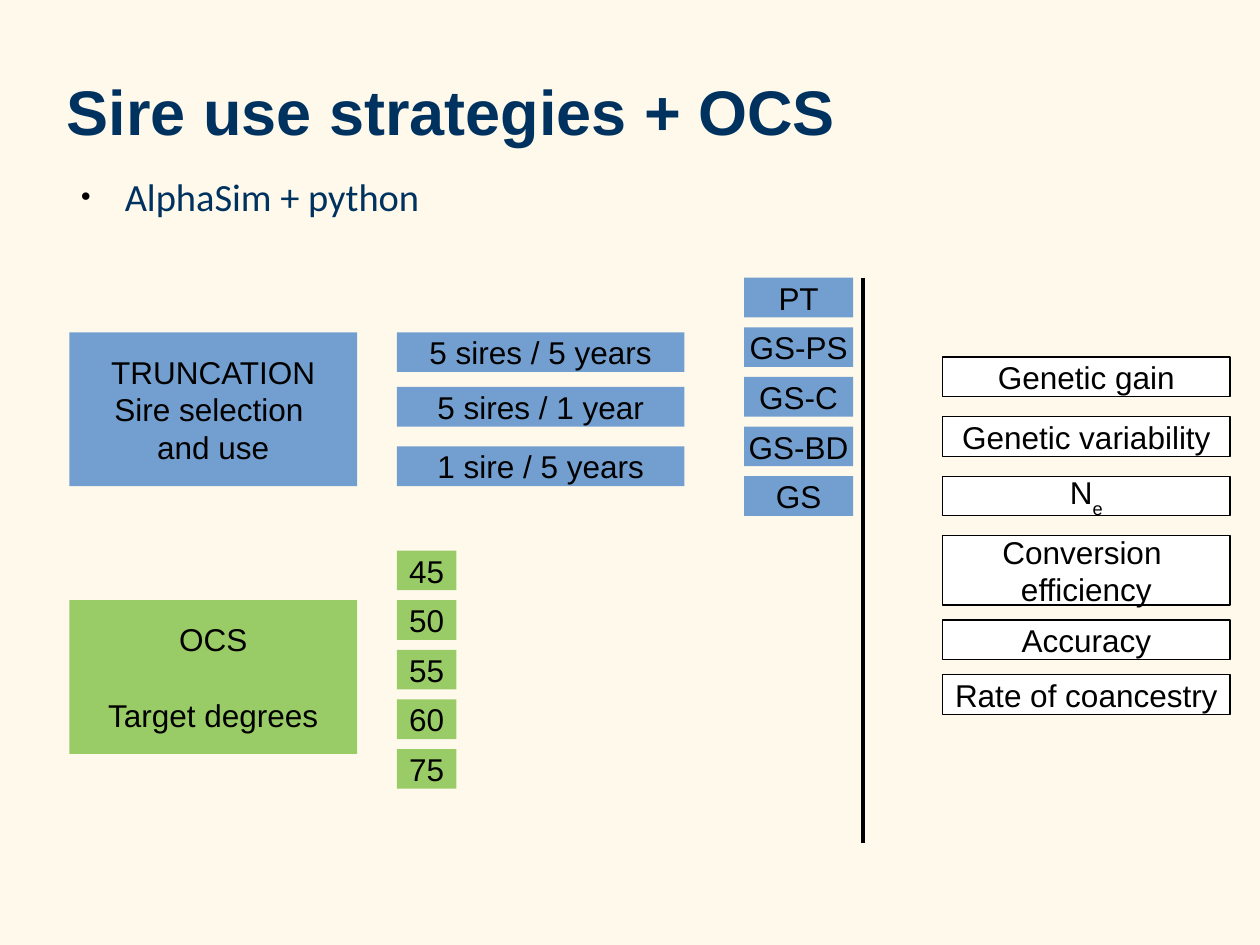
from dataclasses import dataclass
from typing import Optional

from lxml.etree import SubElement
from pptx import Presentation
from pptx.dml.color import RGBColor
from pptx.enum.shapes import MSO_CONNECTOR, MSO_SHAPE
from pptx.enum.text import MSO_ANCHOR, MSO_AUTO_SIZE, PP_ALIGN
from pptx.oxml.ns import qn
from pptx.util import Cm, Inches, Pt


@dataclass(frozen=True)
class Theme:
    background: str = "FFF9EB"
    heading: str = "00325F"
    ink: str = "000000"
    truncation: str = "729FCF"
    ocs: str = "99CC66"
    outcome: str = "FFFFFF"
    font: str = "Arial"
    body_font: str = "Calibri"
    title_size: float = 36
    body_size: float = 22
    label_size: float = 18
    skipped_line: float = 21.7


@dataclass(frozen=True)
class Label:
    """A filled box; columns and rows count the cells of a 1 cm grid."""
    text: str
    column: float
    row: float
    columns: float
    fill: str
    rows: float = 0.8
    outlined: bool = False
    subscript: str = ""
    gap_before_last: float = 0


THEME = Theme()
WIDE = 5.8
LEFT, OPTIONS, SCHEMES, DIVIDER, OUTCOMES = 1.4, 8, 15, 17.4, 19
TOP, BOTTOM = 5.6, 17


def colour(value: str) -> RGBColor:
    return RGBColor.from_string(value)


def style_text(frame, font: str, size: float, ink: str, bold: bool = False,
               align: Optional[PP_ALIGN] = None) -> None:
    for para in frame.paragraphs:
        para.alignment = align
        for span in para.runs:
            span.font.name = font
            span.font.size = Pt(size)
            span.font.bold = bold
            span.font.color.rgb = colour(ink)


def place(shape, left: float, top: float, width: float, height: float) -> None:
    shape.left, shape.top = Inches(left), Inches(top)
    shape.width, shape.height = Inches(width), Inches(height)


def add_bullet(para, hanging: float, indent: float) -> None:
    properties = para._p.get_or_add_pPr()
    properties.set("marL", str(Inches(indent)))
    properties.set("indent", str(-Inches(hanging)))
    bullet_colour = SubElement(properties, qn("a:buClr"))
    SubElement(bullet_colour, qn("a:srgbClr"), val=THEME.ink)
    SubElement(properties, qn("a:buSzPct"), val="45000")
    SubElement(properties, qn("a:buFont"), typeface=THEME.font)
    SubElement(properties, qn("a:buChar"), char="●")


def add_label(page, label: Label) -> None:
    box = page.shapes.add_shape(
        MSO_SHAPE.RECTANGLE, Cm(label.column), Cm(label.row),
        Cm(label.columns), Cm(label.rows))
    box.shadow.inherit = False
    box.fill.solid()
    box.fill.fore_color.rgb = colour(label.fill)
    if label.outlined:
        box.line.color.rgb = colour(THEME.ink)
        box.line.width = Pt(0)
    else:
        box.line.fill.background()
    frame = box.text_frame
    frame.word_wrap = False
    frame.vertical_anchor = MSO_ANCHOR.MIDDLE
    frame.text = label.text
    last = frame.paragraphs[-1]
    if label.gap_before_last:
        last.space_before = Pt(label.gap_before_last)
    if label.subscript:
        span = last.add_run()
        span.text = label.subscript
        span._r.get_or_add_rPr().set("baseline", "-33000")
    style_text(frame, THEME.font, THEME.label_size, THEME.ink,
               align=PP_ALIGN.CENTER)


def add_divider(page) -> None:
    line = page.shapes.add_connector(
        MSO_CONNECTOR.STRAIGHT, Cm(DIVIDER), Cm(TOP), Cm(DIVIDER), Cm(BOTTOM))
    line.line.color.rgb = colour(THEME.ink)
    line.line.width = Pt(2.3)
    SubElement(line._element.spPr, qn("a:effectLst"))


def add_headings(page) -> None:
    title, body = page.placeholders
    place(title, 0.43, 0.52, 9.07, 0.71)
    title.text_frame.text = "Sire use strategies + OCS"
    title.text_frame.vertical_anchor = MSO_ANCHOR.MIDDLE
    style_text(title.text_frame, THEME.font, THEME.title_size, THEME.heading,
               bold=True, align=PP_ALIGN.LEFT)

    place(body, 0.42, 1.32, 9.08, 4.9)
    body.text_frame.text = "AlphaSim + python"
    para = body.text_frame.paragraphs[0]
    add_bullet(para, hanging=0.35, indent=0.47)
    para.space_before = Pt(0)
    style_text(body.text_frame, THEME.body_font, THEME.body_size, THEME.heading)
    for shape in (title, body):
        shape.text_frame.auto_size = MSO_AUTO_SIZE.NONE


def strategy_labels() -> list[Label]:
    blue, green = THEME.truncation, THEME.ocs
    sire_uses = [("5 sires / 5 years", 6.7), ("5 sires / 1 year", 7.8),
                 ("1 sire / 5 years", 9)]
    degrees = ["45", "50", "55", "60", "75"]
    schemes = ["PT", "GS-PS", "GS-C", "GS-BD", "GS"]
    return [
        Label("TRUNCATION\nSire selection \nand use", LEFT, 6.7, WIDE, blue, 3.1),
        *(Label(text, OPTIONS, row, WIDE, blue) for text, row in sire_uses),
        Label("OCS\nTarget degrees", LEFT, 12.1, WIDE, green, 3.1,
              gap_before_last=THEME.skipped_line),
        *(Label(text, OPTIONS, 11.1 + step, 1.2, green)
          for step, text in enumerate(degrees)),
        *(Label(text, SCHEMES, TOP + step, 2.2, blue)
          for step, text in enumerate(schemes)),
    ]


def outcome_labels() -> list[Label]:
    # Text, grid row, height in rows, subscript
    outcomes = [
        ("Genetic gain", 7.2, 0.8, ""),
        ("Genetic variability", 8.4, 0.8, ""),
        ("N", 9.6, 0.8, "e"),
        ("Conversion \vefficiency", 10.8, 1.4, ""),
        ("Accuracy", 12.5, 0.8, ""),
        ("Rate of coancestry", 13.6, 0.8, ""),
    ]
    return [Label(text, OUTCOMES, row, WIDE, THEME.outcome, rows, True, subscript)
            for text, row, rows, subscript in outcomes]


def main() -> None:
    deck = Presentation()
    deck.slide_width, deck.slide_height = Inches(10), Inches(7.5)
    page = deck.slides.add_slide(deck.slide_layouts[1])
    page.background.fill.solid()
    page.background.fill.fore_color.rgb = colour(THEME.background)

    # Title and bullet
    add_headings(page)

    # Strategies on the left, outcomes right of the divider
    add_divider(page)
    for label in strategy_labels() + outcome_labels():
        add_label(page, label)

    deck.save("out.pptx")


if __name__ == "__main__":
    main()
